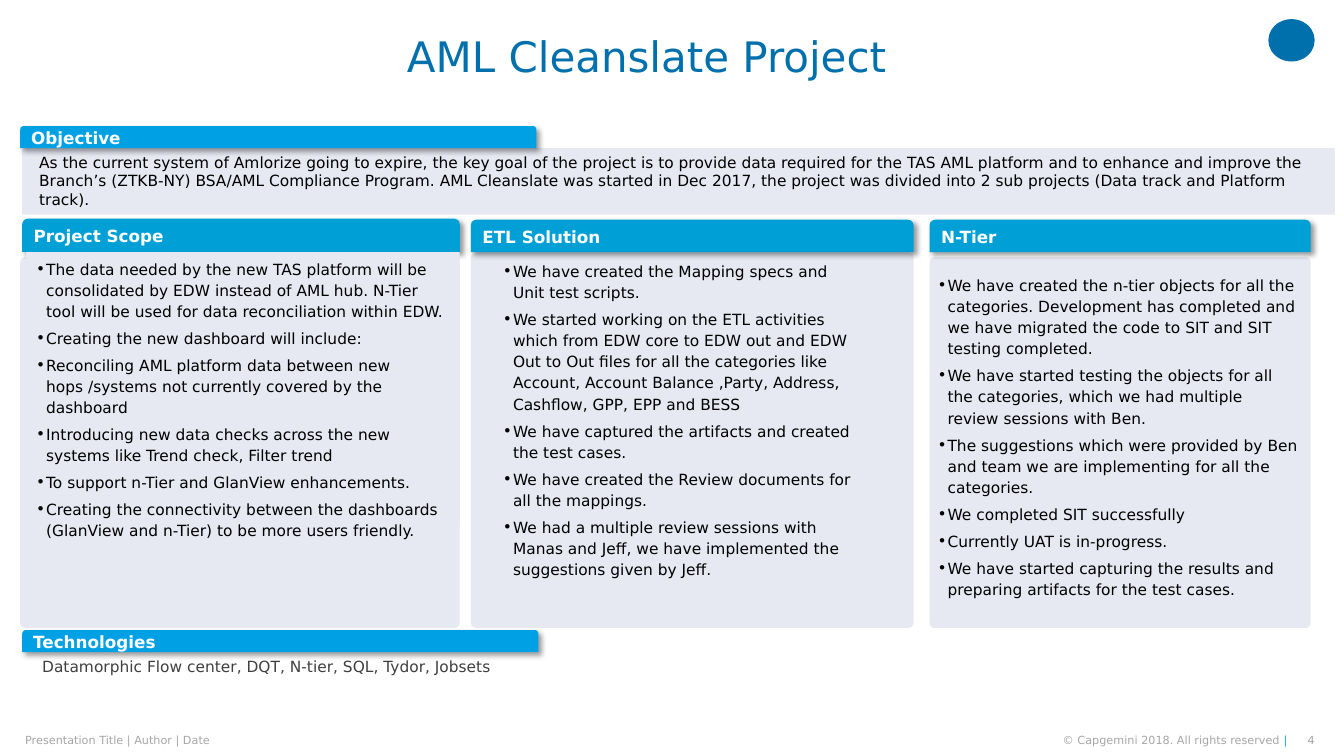
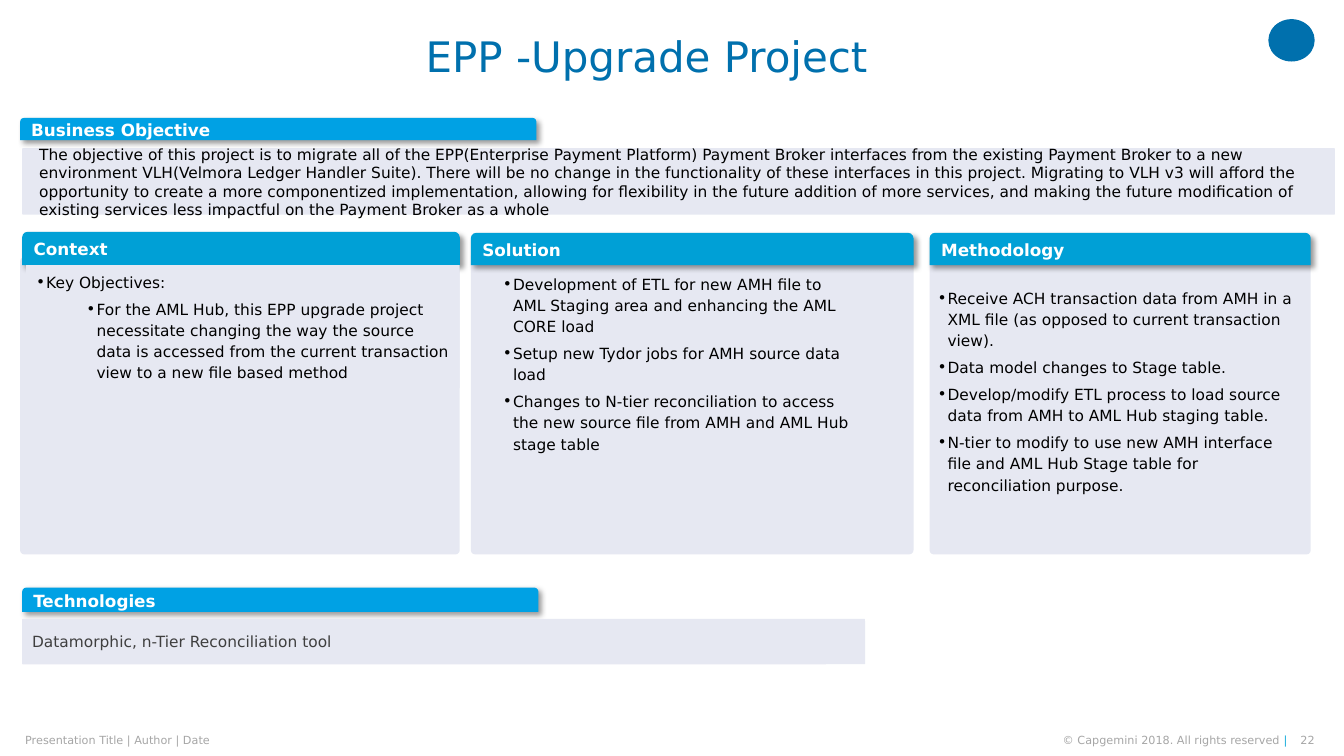
from dataclasses import dataclass

from lxml.etree import SubElement as Sub
from pptx import Presentation
from pptx.dml.color import RGBColor as Rgb
from pptx.enum.shapes import MSO_SHAPE as Kind
from pptx.enum.text import MSO_ANCHOR as Anchor, MSO_AUTO_SIZE as Fit, PP_ALIGN as Align
from pptx.oxml.ns import qn
from pptx.util import Inches, Pt


# Theme
@dataclass(frozen=True)
class Theme:
    font: str = "DejaVu Sans"
    title: str = "0070AD"
    band: str = "00A1E4"
    head: str = "00A0D6"
    panel: str = "E6E8F2"
    ink: str = "000000"
    soft: str = "3F3F3F"
    mute: str = "A6A6A6"
    mark: str = "12ABDB"
    white: str = "FFFFFF"
    huge: float = 30
    label: float = 12
    body: float = 11
    small: float = 8


THEME = Theme()


@dataclass(frozen=True)
class Box:
    x: float
    y: float
    w: float
    h: float


@dataclass(frozen=True)
class Column:
    x: float      # panel left
    w: float      # panel width
    top: float    # panel top
    trim: float   # heading shift at the left
    rise: float   # heading height
    text: float   # text left
    span: float   # text width
    drop: float   # gap from heading to text
    solid: bool   # text box is filled


COLUMNS = (
    Column(0.2, 4.36, 2.55, 0.02, 0.33, 0.26, 4.3, 0, True),
    Column(4.67, 4.39, 2.5, 0, 0.32, 4.89, 3.67, 0.02, False),
    Column(9.22, 3.78, 2.55, 0, 0.32, 9.2, 3.78, 0.16, False),
)


@dataclass(frozen=True)
class Item:
    text: str
    level: int = 1


@dataclass(frozen=True)
class Card:
    head: str
    high: float
    items: tuple[Item, ...]


@dataclass(frozen=True)
class Page:
    title: str
    number: int
    goal: str
    goal_y: float
    aim: str
    aim_box: Box
    split: float   # bottom of the card headings
    base: float    # bottom of the cards
    cards: tuple[Card, ...]
    tech_bar: Box
    tech: str
    tech_box: Box
    tech_fill: bool = False


# Building blocks
def place(box: Box) -> tuple:
    return Inches(box.x), Inches(box.y), Inches(box.w), Inches(box.h)


def style(part, size: float, color: str, bold: bool = False) -> None:
    font = part.font
    font.name, font.size, font.bold = THEME.font, Pt(size), bold
    font.color.rgb = Rgb.from_string(color)


def shape(slide, kind: Kind, box: Box, fill: str):
    form = slide.shapes.add_shape(kind, *place(box))
    form.shadow.inherit = False
    form.fill.solid()
    form.fill.fore_color.rgb = Rgb.from_string(fill)
    form.line.fill.background()
    return form


def panel(slide, box: Box) -> None:
    form = shape(slide, Kind.ROUNDED_RECTANGLE, box, THEME.panel)
    form.adjustments[0] = 0.014


def frame(slide, box: Box, fill: str | None = None):
    form = slide.shapes.add_textbox(*place(box))
    if fill:
        form.fill.solid()
        form.fill.fore_color.rgb = Rgb.from_string(fill)
    form.text_frame.word_wrap = True
    return form.text_frame


def note(slide, box: Box, text: str, color: str, anchor: Anchor = Anchor.TOP) -> None:
    area = frame(slide, box)
    area.vertical_anchor = anchor
    para = area.paragraphs[0]
    para.text = text
    style(para, THEME.body, color)


def band(slide, box: Box, text: str, fill: str) -> None:
    form = shape(slide, Kind.ROUND_2_SAME_RECTANGLE, box, fill)
    # Soft shadow to the lower right
    effect = form.element.spPr.find(qn("a:effectLst"))
    shade = Sub(effect, qn("a:outerShdw"), blurRad=str(Pt(4)), dist=str(Pt(3)),
                dir="2700000", algn="tl", rotWithShape="0")
    tint = Sub(shade, qn("a:srgbClr"), val=THEME.ink)
    Sub(tint, qn("a:alpha"), val="40000")
    area = form.text_frame
    area.vertical_anchor = Anchor.MIDDLE
    para = area.paragraphs[0]
    para.text = text
    para.alignment = Align.LEFT
    style(para, THEME.label, THEME.white, True)


def bullets(area, items: tuple[Item, ...]) -> None:
    for i, item in enumerate(items):
        para = area.add_paragraph() if i else area.paragraphs[0]
        para.text = item.text
        para.level = item.level
        props = para._p.get_or_add_pPr()
        props.set("marL", str(Inches(0.1 + 0.5 * (item.level - 1))))
        props.set("indent", str(Inches(-0.1)))
        Sub(Sub(props, qn("a:buClr")), qn("a:srgbClr"), val=THEME.ink)
        Sub(props, qn("a:buFont"), typeface=THEME.font)
        Sub(props, qn("a:buChar"), char="•")
        para.line_spacing = 1.15
        para.space_before = Pt(2 if i else 0)
        para.space_after = Pt(2)
        style(para, THEME.body, THEME.ink)


def card(slide, col: Column, data: Card, split: float, base: float) -> None:
    panel(slide, Box(col.x, col.top, col.w, base - col.top))
    head = Box(col.x + col.trim, split - col.rise, col.w - col.trim, col.rise)
    band(slide, head, data.head, THEME.head)
    box = Box(col.text, split + col.drop, col.span, data.high)
    bullets(frame(slide, box, THEME.panel if col.solid else None), data.items)


def footer(slide, box: Box, text: str, align: Align, tail: str = "") -> None:
    area = frame(slide, box)
    area.margin_left = area.margin_right = area.margin_top = area.margin_bottom = 0
    area.vertical_anchor = Anchor.MIDDLE
    para = area.paragraphs[0]
    para.alignment = align
    parts = [(text, THEME.mute)] + ([(tail, THEME.mark)] if tail else [])
    for words, color in parts:
        run = para.add_run()
        run.text = words
        style(run if tail else para, THEME.small, color)


def common(slide, page: Page) -> None:
    # Title, emblem and footer
    title = slide.shapes.title
    title.left, title.top, title.width, title.height = place(Box(0.33, 0.25, 12.17, 0.5))
    area = title.text_frame
    area.auto_size, area.vertical_anchor = Fit.NONE, Anchor.TOP
    para = area.paragraphs[0]
    para.text = page.title
    para.alignment = Align.CENTER
    style(para, THEME.huge, THEME.title)
    shape(slide, Kind.OVAL, Box(12.58, 0.19, 0.46, 0.42), THEME.title)
    footer(slide, Box(0.25, 7.27, 5.16, 0.14), "Presentation Title | Author | Date", Align.LEFT)
    footer(slide, Box(9.86, 7.27, 2.91, 0.14),
           "© Capgemini 2018. All rights reserved ", Align.RIGHT, "|")
    footer(slide, Box(12.85, 7.27, 0.19, 0.14), str(page.number), Align.RIGHT)


def build(deck, page: Page) -> None:
    slide = deck.slides.add_slide(deck.slide_layouts[5])
    common(slide, page)
    # Objective
    panel(slide, Box(0.22, 1.47, 13.02, 0.66))
    band(slide, Box(0.2, page.goal_y, 5.12, 0.22), page.goal, THEME.band)
    note(slide, page.aim_box, page.aim, THEME.ink)
    # Three columns
    for col, data in zip(COLUMNS, page.cards):
        card(slide, col, data, page.split, page.base)
    # Technologies
    band(slide, page.tech_bar, "Technologies", THEME.band)
    if page.tech_fill:
        panel(slide, page.tech_box)
    note(slide, page.tech_box, page.tech, THEME.soft, Anchor.MIDDLE)


# Content
PAGES = (
    Page(
        "AML Cleanslate Project", 4, "Objective", 1.25,
        "As the current system of Amlorize going to expire, the key goal of the project is to "
        "provide data required for the TAS AML platform and to enhance and improve the Branch’s "
        "(ZTKB-NY) BSA/AML Compliance Program. AML Cleanslate was started in Dec 2017, the "
        "project was divided into 2 sub projects (Data track and Platform track).",
        Box(0.29, 1.47, 12.94, 0.66), 2.5, 6.23,
        (
            Card("Project Scope", 2.72, (
                Item("The data needed by the new TAS platform will be consolidated by EDW instead "
                     "of AML hub. N-Tier tool will be used for data reconciliation within EDW."),
                Item("Creating the new dashboard will include:"),
                Item("Reconciling AML platform data between new hops /systems not currently "
                     "covered by the dashboard"),
                Item("Introducing new data checks across the new systems like Trend check, "
                     "Filter trend"),
                Item("To support n-Tier and GlanView enhancements."),
                Item("Creating the connectivity between the dashboards (GlanView and n-Tier) to "
                     "be more users friendly."),
            )),
            Card("ETL Solution", 3.31, (
                Item("We have created the Mapping specs and Unit test scripts."),
                Item("We started working on the ETL activities which from EDW core to EDW out and "
                     "EDW Out to Out files for all the categories like Account, Account Balance "
                     ",Party, Address, Cashflow, GPP, EPP and BESS"),
                Item("We have captured the artifacts and created the test cases."),
                Item("We have created the Review documents for all the mappings."),
                Item("We had a multiple review sessions with Manas and Jeff, we have implemented "
                     "the suggestions given by Jeff."),
            )),
            Card("N-Tier", 3.36, (
                Item("We have created the n-tier objects for all the categories. Development has "
                     "completed and we have migrated the code to SIT and SIT testing completed."),
                Item("We have started testing the objects for all the categories, which we had "
                     "multiple review sessions with Ben."),
                Item("The suggestions which were provided by Ben and team we are implementing for "
                     "all the categories."),
                Item("We completed SIT successfully"),
                Item("Currently UAT is in-progress."),
                Item("We have started capturing the results and preparing artifacts for the test "
                     "cases."),
            )),
        ),
        Box(0.22, 6.25, 5.12, 0.22),
        "Datamorphic Flow center, DQT, N-tier, SQL, Tydor, Jobsets",
        Box(0.32, 6.47, 12.94, 0.29),
    ),
    Page(
        "EPP -Upgrade Project", 22, "Business Objective", 1.17,
        "The objective of this project is to migrate all of the EPP(Enterprise Payment Platform) "
        "Payment Broker interfaces from the existing Payment Broker to a new environment "
        "VLH(Velmora Ledger Handler Suite). There will be no change in the functionality of "
        "these interfaces in this project. Migrating to VLH v3 will afford the opportunity to "
        "create a more componentized implementation, allowing for flexibility in the future "
        "addition of more services, and making the future modification of existing services less "
        "impactful on the Payment Broker as a whole",
        Box(0.29, 1.39, 12.94, 0.84), 2.63, 5.5,
        (
            Card("Context", 1.22, (
                Item("Key Objectives:"),
                Item("For the AML Hub, this EPP upgrade project necessitate changing the way the "
                     "source data is accessed from the current transaction view to a new file "
                     "based method", 2),
            )),
            Card("Solution", 1.9, (
                Item("Development of ETL for new AMH file to AML Staging area and enhancing the "
                     "AML CORE load"),
                Item("Setup new Tydor jobs for AMH source data load"),
                Item("Changes to N-tier reconciliation to access the new source file from AMH and "
                     "AML Hub stage table"),
            )),
            Card("Methodology", 2.45, (
                Item("Receive ACH transaction data from AMH in a XML file (as opposed to current "
                     "transaction view)."),
                Item("Data model changes to Stage table."),
                Item("Develop/modify ETL process to load source data from AMH to AML Hub staging "
                     "table."),
                Item("N-tier to modify to use new AMH interface file and AML Hub Stage table for "
                     "reconciliation purpose."),
            )),
        ),
        Box(0.22, 5.83, 5.12, 0.24),
        "Datamorphic, n-Tier Reconciliation tool",
        Box(0.22, 6.14, 8.36, 0.45), True,
    ),
)


def main() -> None:
    deck = Presentation()
    deck.slide_width, deck.slide_height = Inches(13.33), Inches(7.5)
    for page in PAGES:
        build(deck, page)
    deck.save("out.pptx")


if __name__ == "__main__":
    main()
